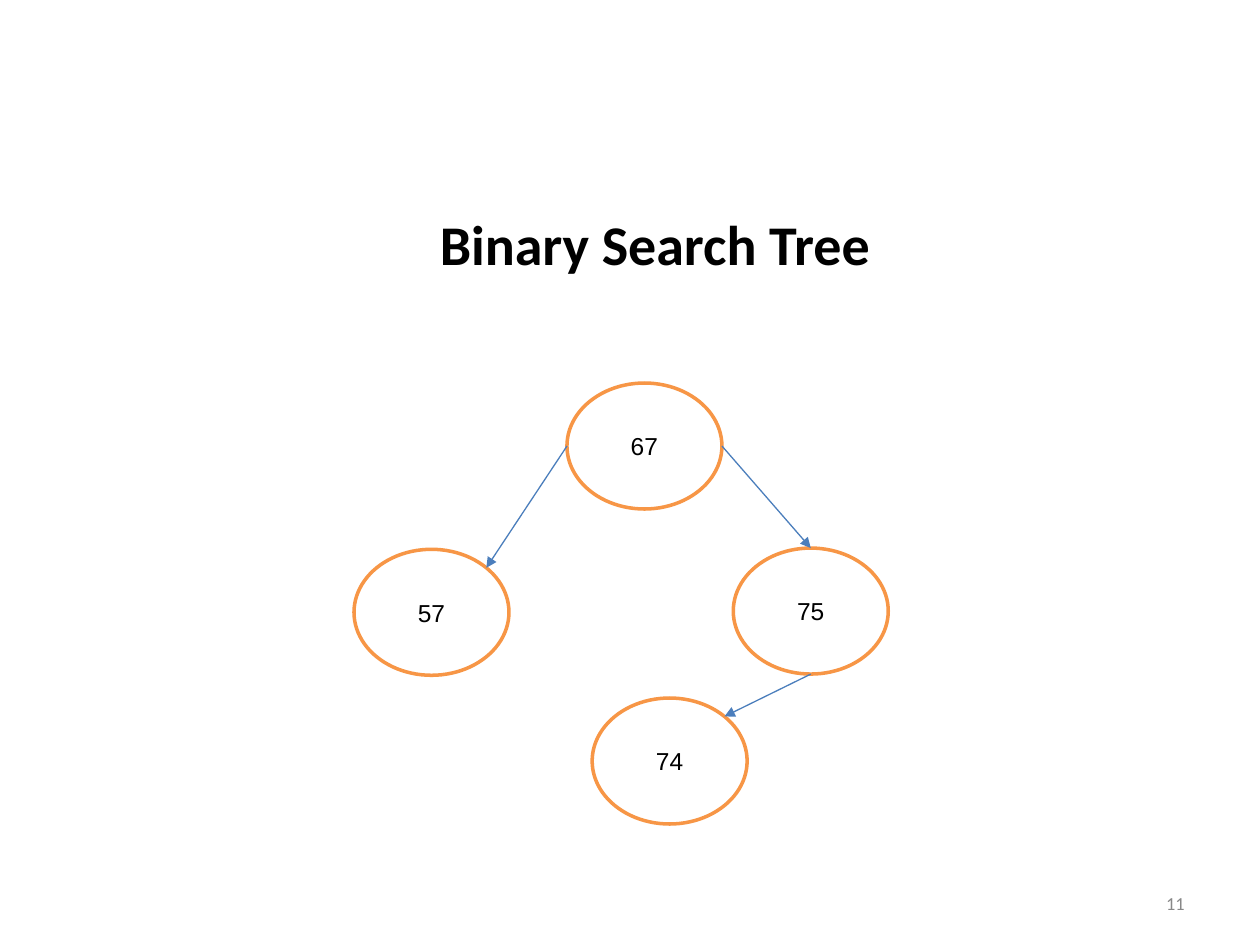
"""Build a slide showing a four-node binary search tree."""
import math

import pptx
import pptx.dml.color
import pptx.enum.shapes
import pptx.enum.text
import pptx.oxml
import pptx.oxml.ns
import pptx.util

Inches = pptx.util.Inches
Align = pptx.enum.text.PP_ALIGN

TITLE = ("Binary Search Tree", (0.7, 1.43, 9, 1))
PAGE_NUMBER = ("11", (7.17, 6.97, 2.33, 0.4))
NODE_SIZE = (1.23, 1)
NODES = {"67": (4.5, 3.04), "74": (4.7, 5.54), "75": (5.82, 4.35), "57": (2.81, 4.36)}
EDGES = [
    ("67", "left", "57", "top right"),
    ("67", "right", "75", "top"),
    ("75", "bottom", "74", "top right"),
]
ANCHOR_ANGLES = {"right": 0, "top right": 45, "top": 90, "left": 180, "bottom": 270}
THEME = {
    "title": {"font": "Calibri", "size": 32, "color": "000000", "bold": True},
    "page": {"font": "Calibri", "size": 10.5, "color": "888888", "bold": False},
    "node": {"font": "Arial", "size": 14, "color": "000000", "bold": False},
    "node_fill": "FFFFFF",
    "node_line": ("F79646", 2),
    "edge_line": ("4B7EBC", 0.75),
}


def rgb(value):
    return pptx.dml.color.RGBColor.from_string(value)


def set_line(line, style):
    color, width = style
    line.color.rgb = rgb(color)
    line.width = pptx.util.Pt(width)


def write(shape, wording, style, alignment):
    frame = shape.text_frame
    frame.text = wording
    frame.word_wrap = True
    frame.vertical_anchor = pptx.enum.text.MSO_ANCHOR.MIDDLE
    paragraph = frame.paragraphs[0]
    paragraph.alignment = alignment
    font = paragraph.runs[0].font
    font.name = style["font"]
    font.size = pptx.util.Pt(style["size"])
    font.bold = style["bold"]
    font.color.rgb = rgb(style["color"])


def add_label(slide, label, style, alignment):
    wording, box = label
    write(slide.shapes.add_textbox(*map(Inches, box)), wording, style, alignment)


def add_node(slide, key):
    node = slide.shapes.add_shape(
        pptx.enum.shapes.MSO_SHAPE.OVAL, *map(Inches, NODES[key] + NODE_SIZE)
    )
    node.shadow.inherit = False
    node.fill.solid()
    node.fill.fore_color.rgb = rgb(THEME["node_fill"])
    set_line(node.line, THEME["node_line"])
    write(node, key, THEME["node"], Align.CENTER)


def anchor_point(key, side):
    left, top = NODES[key]
    width, height = NODE_SIZE
    angle = math.radians(ANCHOR_ANGLES[side])
    return (
        Inches(left + width / 2 * (1 + math.cos(angle))),
        Inches(top + height / 2 * (1 - math.sin(angle))),
    )


def add_edge(slide, parent, parent_side, child, child_side):
    edge = slide.shapes.add_connector(
        pptx.enum.shapes.MSO_CONNECTOR.STRAIGHT,
        *anchor_point(parent, parent_side),
        *anchor_point(child, child_side),
    )
    set_line(edge.line, THEME["edge_line"])
    properties = edge._element.spPr
    arrowhead = pptx.oxml.parse_xml(
        f'<a:tailEnd {pptx.oxml.ns.nsdecls("a")} type="triangle"/>'
    )
    properties.find(pptx.oxml.ns.qn("a:ln")).append(arrowhead)
    properties.append(
        pptx.oxml.parse_xml(f'<a:effectLst {pptx.oxml.ns.nsdecls("a")}/>')
    )


def main():
    deck = pptx.Presentation()
    deck.slide_width, deck.slide_height = Inches(10), Inches(7.5)
    slide = deck.slides.add_slide(deck.slide_layouts[6])
    add_label(slide, PAGE_NUMBER, THEME["page"], Align.RIGHT)
    for key in NODES:
        add_node(slide, key)
    for edge in EDGES:
        add_edge(slide, *edge)
    add_label(slide, TITLE, THEME["title"], Align.CENTER)
    deck.save("out.pptx")


if __name__ == "__main__":
    main()
